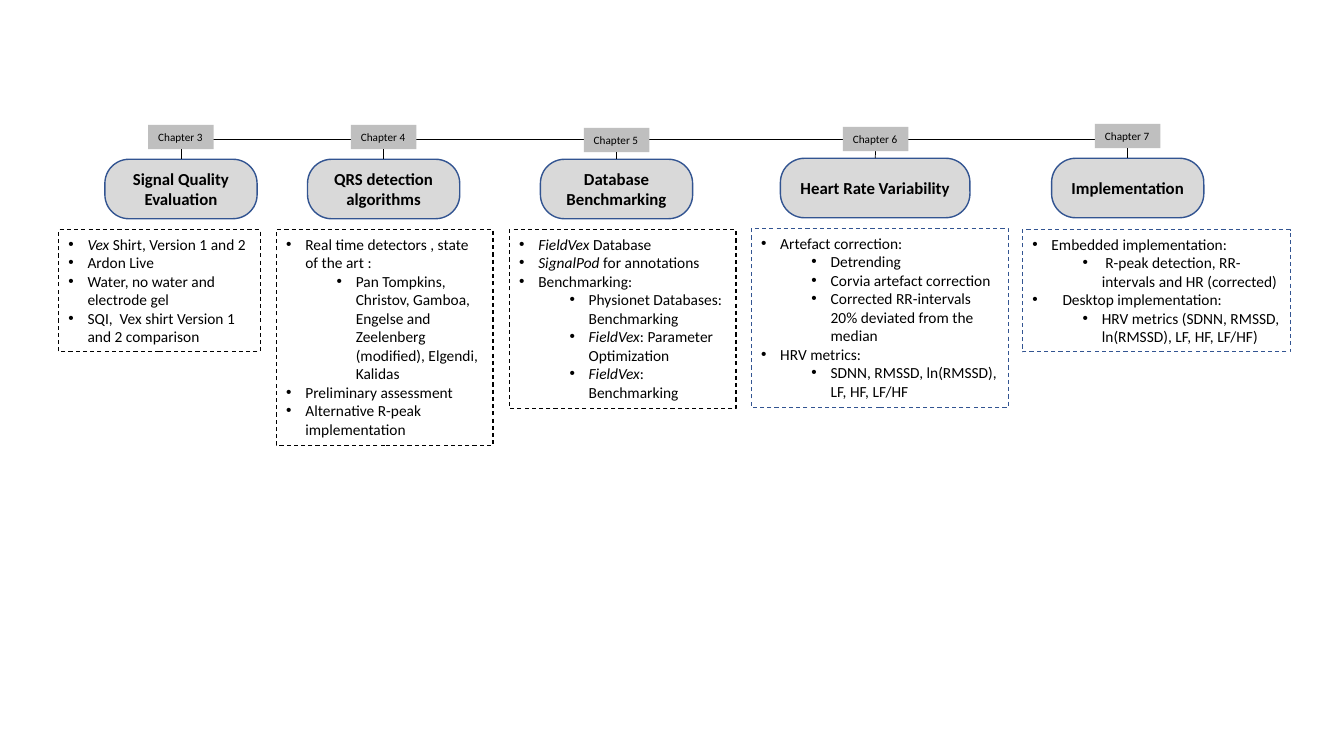
from dataclasses import dataclass

from lxml.etree import SubElement
from pptx import Presentation
from pptx.dml.color import RGBColor
from pptx.enum.dml import MSO_LINE
from pptx.enum.shapes import MSO_CONNECTOR, MSO_SHAPE
from pptx.enum.text import MSO_ANCHOR, MSO_AUTO_SIZE, PP_ALIGN
from pptx.oxml.ns import qn
from pptx.util import Emu, Pt


@dataclass(frozen=True)
class Theme:
    """Colours, font and type sizes of the slide."""
    font: str = "Calibri"
    ink: str = "000000"
    blue: str = "325491"
    label_fill: str = "BFBFBF"
    pill_fill: str = "D9D9D9"
    label_size: float = 8
    body_size: float = 11
    title_size: float = 12


@dataclass(frozen=True)
class Indent:
    """Outline level of a bullet, with text margin and hanging width in px."""
    level: int
    margin: int
    hang: int


MAIN = Indent(0, 19, 19)
WIDE = Indent(0, 30, 30)
SUB = Indent(1, 69, 19)


@dataclass(frozen=True)
class Chapter:
    """One chapter column, with its positions in px."""
    number: int
    title: str
    centre: int
    label_top: int
    pill_top: int
    pill_width: int
    panel: tuple
    panel_line: str
    items: list


def px(length):
    """Turn px, at 100 to the inch, into EMU."""
    return Emu(length * 9144)


class Page:
    """A slide with the methods that draw its elements."""

    def __init__(self, deck, theme):
        """Add a blank slide to the deck."""
        self.theme = theme
        self.shapes = deck.slides.add_slide(deck.slide_layouts[6]).shapes

    def outline(self, line, color, width):
        """Set the colour and width of a line."""
        line.color.rgb = RGBColor.from_string(color)
        line.width = Pt(width)

    def fill(self, shape, color):
        """Fill a shape with one colour."""
        shape.fill.solid()
        shape.fill.fore_color.rgb = RGBColor.from_string(color)

    def style(self, para, size, bold=False):
        """Set the font of a paragraph."""
        para.font.name = self.theme.font
        para.font.size = Pt(size)
        para.font.bold = bold
        para.font.color.rgb = RGBColor.from_string(self.theme.ink)

    def line(self, start, end):
        """Draw a thin line between two points."""
        line = self.shapes.add_connector(
            MSO_CONNECTOR.STRAIGHT, *map(px, start + end))
        SubElement(line._element.spPr, qn("a:effectLst"))
        self.outline(line.line, self.theme.ink, 0.5)
        return line

    def stem(self, label, pill):
        """Join the bottom of a label to the top of a pill."""
        stem = self.line((0, 0), (0, 0))
        stem.begin_connect(label, 2)
        stem.end_connect(pill, 0)

    def label(self, text, centre, top):
        """Draw a grey chapter label."""
        width = 65
        box = self.shapes.add_textbox(
            px(centre - width // 2), px(top), px(width), px(24))
        self.fill(box, self.theme.label_fill)
        box.text_frame.word_wrap = False
        box.text_frame.auto_size = MSO_AUTO_SIZE.SHAPE_TO_FIT_TEXT
        para = box.text_frame.paragraphs[0]
        para.text = text
        self.style(para, self.theme.label_size)
        return box

    def pill(self, text, centre, top, width):
        """Draw a rounded chapter title."""
        pill = self.shapes.add_shape(
            MSO_SHAPE.ROUNDED_RECTANGLE,
            px(centre - width // 2), px(top), px(width), px(59))
        pill.adjustments[0] = 0.405
        pill.shadow.inherit = False
        self.fill(pill, self.theme.pill_fill)
        self.outline(pill.line, self.theme.blue, 1)
        pill.text_frame.word_wrap = True
        pill.text_frame.vertical_anchor = MSO_ANCHOR.MIDDLE
        para = pill.text_frame.paragraphs[0]
        para.text = text
        para.alignment = PP_ALIGN.CENTER
        self.style(para, self.theme.title_size, bold=True)
        return pill

    def bullet(self, para, indent, text):
        """Write a bullet, with the parts between asterisks in italics."""
        para.level = indent.level
        properties = para._p.get_or_add_pPr()
        properties.set("marL", str(px(indent.margin)))
        properties.set("indent", str(px(-indent.hang)))
        SubElement(properties, qn("a:buFont"), typeface="Arial")
        SubElement(properties, qn("a:buChar"), char="•")
        self.style(para, self.theme.body_size)
        for position, part in enumerate(text.split("*")):
            if part:
                span = para.add_run()
                span.text = part
                if position % 2:
                    span.font.italic = True

    def panel(self, frame, color, items):
        """Draw a dashed box of bullets."""
        box = self.shapes.add_textbox(*map(px, frame))
        self.outline(box.line, color, 0.75)
        box.line.dash_style = MSO_LINE.DASH
        text = box.text_frame
        text.word_wrap = True
        text.auto_size = MSO_AUTO_SIZE.SHAPE_TO_FIT_TEXT
        for position, item in enumerate(items):
            para = text.add_paragraph() if position else text.paragraphs[0]
            self.bullet(para, *item)

    def chapter(self, chapter):
        """Draw one chapter column."""
        self.panel(chapter.panel, chapter.panel_line, chapter.items)
        pill = self.pill(chapter.title, chapter.centre, chapter.pill_top,
                         chapter.pill_width)
        label = self.label(f"Chapter {chapter.number}", chapter.centre,
                           chapter.label_top)
        self.stem(label, pill)


def main():
    """Build the slide and save it."""
    theme = Theme()
    chapters = [
        Chapter(3, "Signal Quality Evaluation", 179, 124, 158, 151,
                (58, 228, 200, 121), theme.ink, [
                    (MAIN, "*Vex* Shirt, Version 1 and 2"),
                    (MAIN, "Ardon Live"),
                    (MAIN, "Water, no water and electrode gel"),
                    (MAIN, "SQI,  Vex shirt Version 1 and 2 comparison")]),
        Chapter(4, "QRS detection algorithms", 380, 124, 158, 151,
                (274, 228, 215, 214), theme.ink, [
                    (MAIN, "Real time detectors , state of the art :"),
                    (SUB, "Pan Tompkins, Christov, Gamboa, Engelse and "
                          "Zeelenberg (modified), Elgendi, Kalidas"),
                    (MAIN, "Preliminary assessment"),
                    (MAIN, "Alternative R-peak implementation")]),
        Chapter(5, "Database Benchmarking", 611, 127, 158, 151,
                (505, 228, 225, 177), theme.ink, [
                    (MAIN, "*FieldVex* Database"),
                    (MAIN, "*SignalPod* for annotations"),
                    (MAIN, "Benchmarking:"),
                    (SUB, "Physionet Databases: Benchmarking"),
                    (SUB, "*FieldVex*: Parameter Optimization"),
                    (SUB, "*FieldVex*: Benchmarking")]),
        Chapter(6, "Heart Rate Variability", 868, 126, 157, 188,
                (745, 227, 255, 177), theme.blue, [
                    (MAIN, "Artefact correction:"),
                    (SUB, "Detrending"),
                    (SUB, "Corvia artefact correction"),
                    (SUB, "Corrected RR-intervals 20% deviated from the median"),
                    (MAIN, "HRV metrics:"),
                    (SUB, "SDNN, RMSSD, ln(RMSSD), LF, HF, LF/HF")]),
        Chapter(7, "Implementation", 1118, 123, 157, 151,
                (1014, 228, 266, 121), theme.blue, [
                    (MAIN, "Embedded implementation:"),
                    (SUB, " R-peak detection, RR-intervals and HR (corrected)"),
                    (WIDE, "Desktop implementation:"),
                    (SUB, "HRV metrics (SDNN, RMSSD, ln(RMSSD), LF, HF, LF/HF)")]),
    ]
    deck = Presentation()
    deck.slide_width, deck.slide_height = px(1333), px(750)
    page = Page(deck, theme)
    page.line((179, 138), (1106, 138))
    for chapter in chapters:
        page.chapter(chapter)
    deck.save("out.pptx")


if __name__ == "__main__":
    main()
